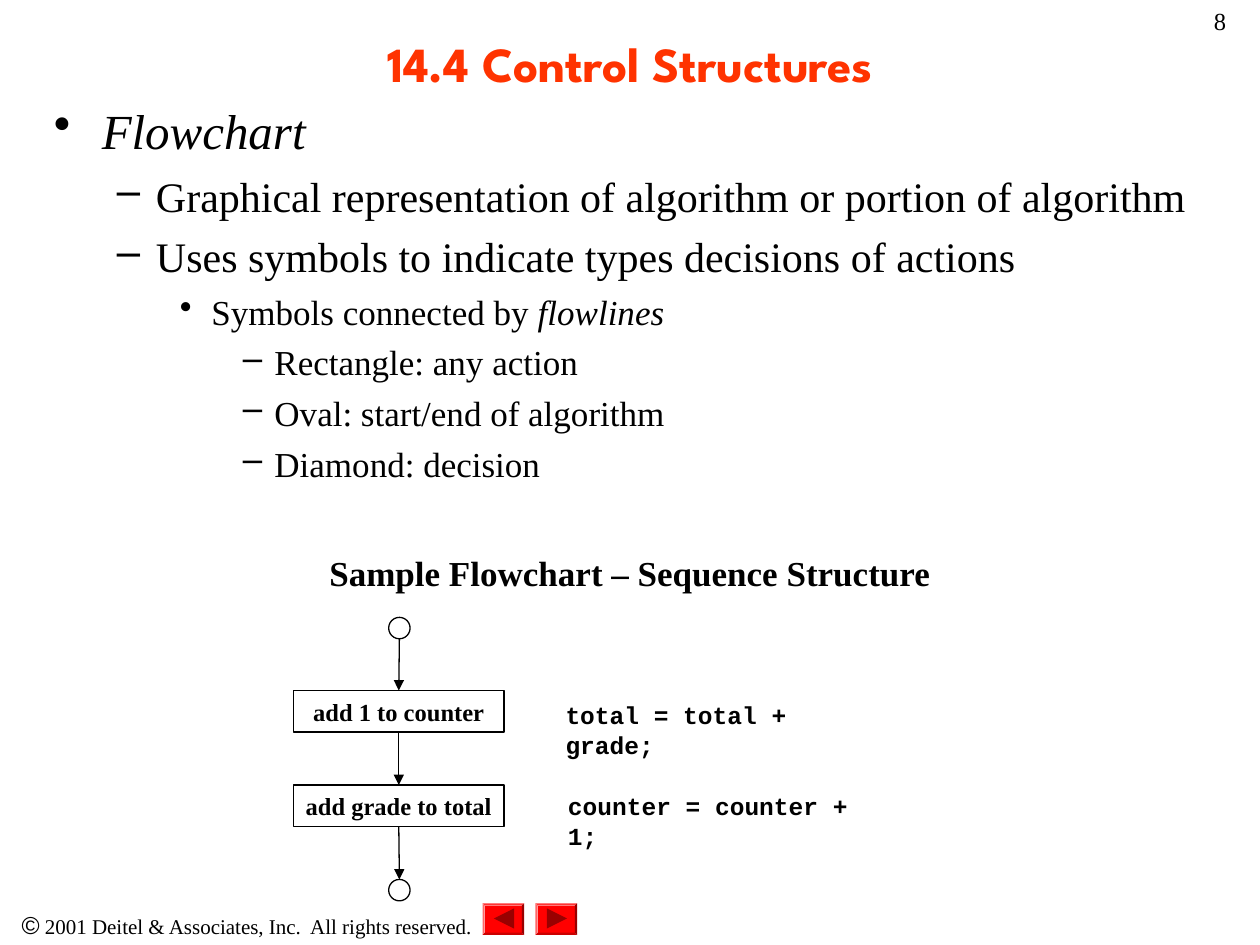
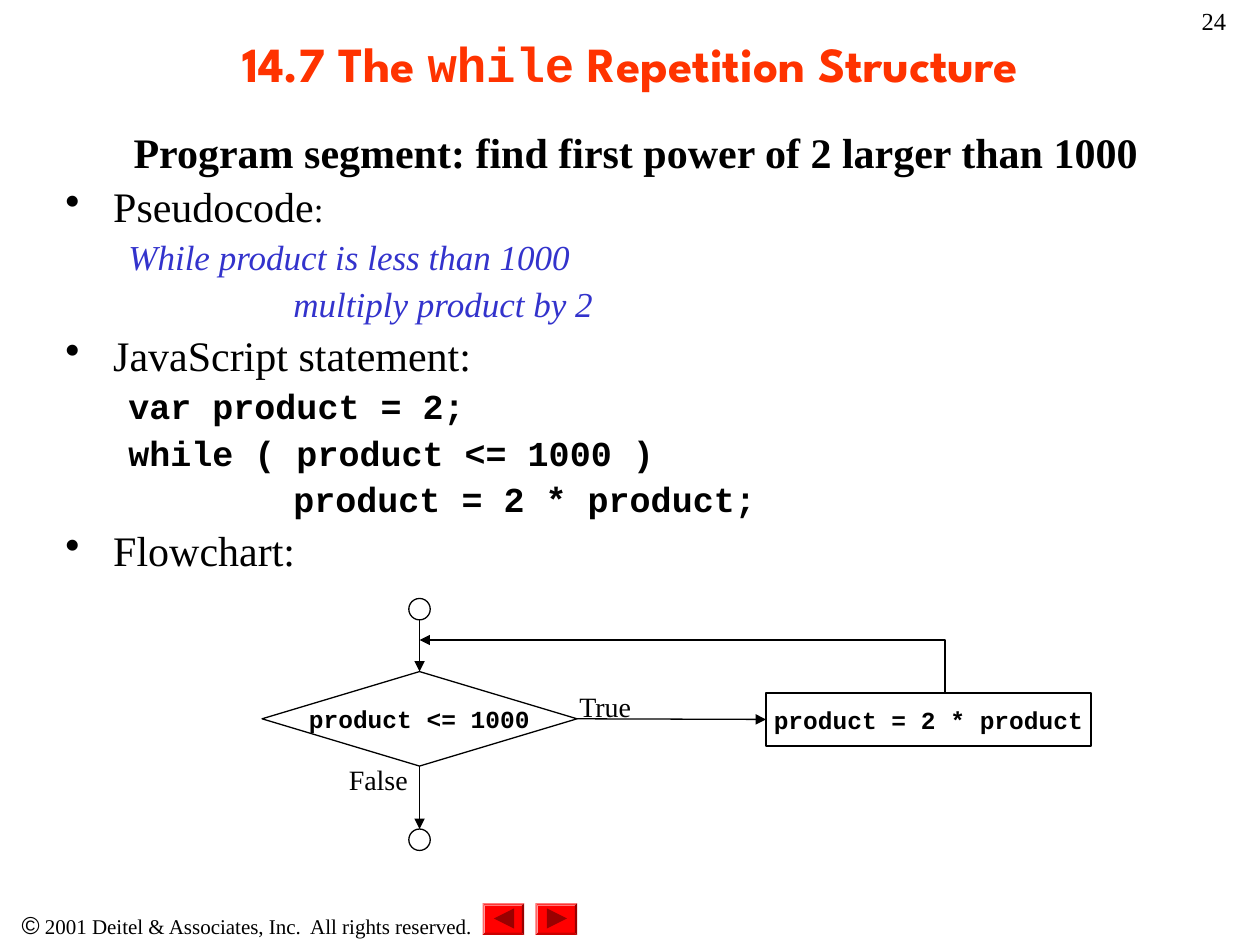
from lxml import etree
from pptx import Presentation
from pptx.dml.color import RGBColor
from pptx.enum.shapes import MSO_CONNECTOR, MSO_SHAPE
from pptx.enum.text import MSO_ANCHOR, PP_ALIGN
from pptx.oxml.ns import qn
from pptx.util import Inches, Pt

LEFT, CENTER, RIGHT = PP_ALIGN.LEFT, PP_ALIGN.CENTER, PP_ALIGN.RIGHT
TOP, MIDDLE = MSO_ANCHOR.TOP, MSO_ANCHOR.MIDDLE
OVAL, RECT, DIAMOND = MSO_SHAPE.OVAL, MSO_SHAPE.RECTANGLE, MSO_SHAPE.DIAMOND
BEVEL, TRIANGLE = MSO_SHAPE.BEVEL, MSO_SHAPE.ISOSCELES_TRIANGLE
STRAIGHT, ELBOW = MSO_CONNECTOR.STRAIGHT, MSO_CONNECTOR.ELBOW

BLACK = RGBColor(0x00, 0x00, 0x00)
TITLE_RED = RGBColor(0xFF, 0x33, 0x00)
BUTTON_RED = RGBColor(0xFF, 0x00, 0x00)
ARROW_RED = RGBColor(0x99, 0x00, 0x00)
PSEUDO_BLUE = RGBColor(0x33, 0x33, 0xCC)

SERIF, MONO, SANS, DISPLAY = "Times New Roman", "Courier New", "Arial", "League Spartan"
SITE_TOP, SITE_LEFT, SITE_BOTTOM, SITE_RIGHT = range(4)
CIRCLE = 0.17
BOX_H = 0.33

OUTLINE_LEVELS = [(0.38, -0.38, "•"), (0.81, -0.31, "–"), (1.25, -0.25, "•"), (1.75, -0.25, "–")]


def run(text, size, name=SERIF, bold=False, italic=False, color=BLACK):
    """Describe a piece of text and its look."""
    return text, size, name, bold, italic, color


def write(p, runs, align=LEFT):
    """Fill a paragraph with formatted runs."""
    p.alignment = align
    for text, size, name, bold, italic, color in runs:
        r = p.add_run()
        r.text = text
        r.font.size, r.font.name = Pt(size), name
        r.font.bold, r.font.italic = bold, italic
        r.font.color.rgb = color


def add_text(s, x, y, w, h, runs, align=LEFT, anchor=TOP, wrap=True):
    """Add a text box with one paragraph."""
    tf = s.shapes.add_textbox(Inches(x), Inches(y), Inches(w), Inches(h)).text_frame
    tf.word_wrap = wrap
    tf.vertical_anchor = anchor
    write(tf.paragraphs[0], runs, align)


def set_indent(p, margin, hanging, bullet=None):
    """Set the indents and the bullet of a paragraph."""
    pPr = p._p.get_or_add_pPr()
    pPr.set("marL", str(Inches(margin)))
    pPr.set("indent", str(Inches(hanging)))
    if bullet:
        etree.SubElement(pPr, qn("a:buChar")).set("char", bullet)
    else:
        etree.SubElement(pPr, qn("a:buNone"))


def add_body(s, x, y, w, h, items, line_spacing=1.0):
    """Add body text from (runs, indent, space before, alignment) items."""
    tf = s.shapes.add_textbox(Inches(x), Inches(y), Inches(w), Inches(h)).text_frame
    tf.word_wrap = True
    for i, (runs, indent, space, align) in enumerate(items):
        p = tf.add_paragraph() if i else tf.paragraphs[0]
        set_indent(p, *indent)
        p.line_spacing = line_spacing
        p.space_before = Pt(space if i else 0)
        write(p, runs, align)


def add_shape(s, kind, x, y, w, h, fill=None, line=BLACK):
    """Add a preset shape with a plain fill and a thin outline."""
    sp = s.shapes.add_shape(kind, Inches(x), Inches(y), Inches(w), Inches(h))
    sp.shadow.inherit = False
    if fill is None:
        sp.fill.background()
    else:
        sp.fill.solid()
        sp.fill.fore_color.rgb = fill
    if line is None:
        sp.line.fill.background()
    else:
        sp.line.color.rgb = line
        sp.line.width = Pt(0.75)
    return sp


def add_node(s, kind, x, y, w, h, text, font=SERIF):
    """Add a labelled flowchart symbol."""
    sp = add_shape(s, kind, x, y, w, h)
    tf = sp.text_frame
    tf.word_wrap = False
    tf.vertical_anchor = MIDDLE
    write(tf.paragraphs[0], [run(text, 14, font, bold=True)], CENTER)
    return sp


def add_terminal(s, center_x, y):
    """Add the small circle that starts or ends a flowchart."""
    add_shape(s, OVAL, center_x - CIRCLE / 2, y, CIRCLE, CIRCLE)


def add_flowline(s, x1, y1, x2, y2, start=None, end=None, kind=STRAIGHT):
    """Add an arrow, joined to (shape, site) pairs where given."""
    cxn = s.shapes.add_connector(kind, Inches(x1), Inches(y1), Inches(x2), Inches(y2))
    if start:
        cxn.begin_connect(*start)
    if end:
        cxn.end_connect(*end)
    cxn.line.color.rgb = BLACK
    cxn.line.width = Pt(0.75)
    spPr = cxn._element.spPr
    etree.SubElement(spPr.find(qn("a:ln")), qn("a:tailEnd")).set("type", "triangle")
    etree.SubElement(spPr, qn("a:effectLst"))
    return cxn


def add_loop_back(s, x1, y1, x2, y2):
    """Add a one-bend arrow that rises from its start and then runs left."""
    cx, cy = (x1 + x2) / 2, (y1 + y2) / 2
    rise, reach = (y1 - y2) / 2, (x1 - x2) / 2
    cxn = add_flowline(s, cx - rise, cy + reach, cx + rise, cy - reach, kind=ELBOW)
    spPr = cxn._element.spPr
    spPr.find(qn("a:xfrm")).set("rot", "16200000")
    spPr.find(qn("a:prstGeom")).set("prst", "bentConnector2")


def add_button(s, x, rotation):
    """Add a bevelled navigation button with a turned triangle."""
    button = add_shape(s, BEVEL, x, 7.17, 0.33, 0.25, BUTTON_RED, None)
    button.adjustments[0] = 0.07
    icon = add_shape(s, TRIANGLE, x + 0.09, 7.21, 0.16, 0.16, ARROW_RED, None)
    icon.rotation = rotation


def add_slide(prs, number, title_runs):
    """Add a slide with the shared footer, buttons, title and number."""
    s = prs.slides.add_slide(prs.slide_layouts[6])
    add_text(s, 0, 7.17, 3.92, 0.34, [
        run("©", 14, SANS),
        run(" 2001 Deitel & Associates, Inc.  All rights reserved.", 12)], CENTER)
    add_button(s, 3.83, 270)
    add_button(s, 4.25, 90)
    add_text(s, 0, 0, 10, 1, title_runs, CENTER, MIDDLE)
    add_text(s, 7.75, 0, 2.08, 0.5, [run(str(number), 14)], RIGHT)
    return s


def title_run(text, name=DISPLAY):
    """Describe a piece of a slide title."""
    return run(text, 28, name, bold=True, color=TITLE_RED)


def control_structures(prs):
    """Build the slide on flowcharts and the sequence structure."""
    s = add_slide(prs, 8, [title_run("14.4 Control Structures")])
    outline = [
        (0, 7, [run("Flowchart", 28, italic=True)]),
        (1, 6, [run("Graphical representation of algorithm or portion of algorithm", 24)]),
        (1, 6, [run("Uses symbols to indicate types decisions of actions", 24)]),
        (2, 5, [run("Symbols connected by ", 20), run("flowlines", 20, italic=True)]),
        (3, 5, [run("Rectangle: any action", 20)]),
        (3, 5, [run("Oval: start/end of algorithm", 20)]),
        (3, 5, [run("Diamond: decision", 20)]),
    ]
    add_body(s, 0.33, 0.75, 9.33, 3.67,
             [(runs, OUTLINE_LEVELS[level], space, LEFT) for level, space, runs in outline])
    add_text(s, 0, 4.33, 10, 0.44,
             [run("Sample Flowchart – Sequence Structure", 20, bold=True)], CENTER)

    x = 3.17
    add_terminal(s, x, 4.9)
    add_terminal(s, x, 6.98)
    count, total = [add_node(s, RECT, 2.33, y, 1.67, BOX_H, text)
                    for y, text in ((5.48, "add 1 to counter"), (6.23, "add grade to total"))]
    add_flowline(s, x, 5.07, x, 5.48, end=(count, SITE_TOP))
    add_flowline(s, x, 5.81, x, 6.23, (count, SITE_BOTTOM), (total, SITE_TOP))
    add_flowline(s, x, 6.56, x, 6.98, start=(total, SITE_BOTTOM))
    for left, y, code in ((4.39, 5.51, "total = total + grade;"),
                          (4.41, 6.23, "counter = counter + 1;")):
        add_text(s, left, y, 2.77, 0.34, [run(code, 14, MONO, bold=True)], wrap=False)


def while_structure(prs):
    """Build the slide on the while repetition structure."""
    s = add_slide(prs, 24, [title_run("14.7 The "), title_run("while", MONO),
                            title_run(" Repetition Structure")])
    bullet, plain = OUTLINE_LEVELS[0], (0.5, 0)
    nested = (1.81, 0)

    def pseudo(text):
        return [run(text, 20, italic=True, color=PSEUDO_BLUE)]

    def code(text):
        return [run(text, 20, MONO, bold=True)]

    heading = [run("Program segment: find first power of 2 larger than 1000", 24, bold=True)]
    add_body(s, 0.42, 1, 9.25, 3.71, [
        (heading, (0, 0), 0, CENTER),
        ([run("Pseudocode", 24), run(":", 20)], bullet, 5, LEFT),
        (pseudo("While product is less than 1000"), plain, 5, LEFT),
        (pseudo("multiply product by 2"), nested, 5, LEFT),
        ([run("JavaScript statement:", 24)], bullet, 6, LEFT),
        (code("var product = 2;"), plain, 5, LEFT),
        (code("while ( product <= 1000 )"), plain, 5, LEFT),
        (code("product = 2 * product;"), nested, 5, LEFT),
        ([run("Flowchart:", 24)], bullet, 6, LEFT),
    ], 0.9)

    x = 3.33
    add_terminal(s, x, 4.75)
    add_terminal(s, x, 6.58)
    test = add_node(s, DIAMOND, 2.08, 5.33, 2.5, 0.75, "product <= 1000", MONO)
    step = add_node(s, RECT, 6.08, 5.5, 2.58, 0.42, "product = 2 * product", MONO)
    add_flowline(s, x, 4.92, x, 5.33, end=(test, SITE_TOP))
    add_flowline(s, 4.58, 5.71, 6.08, 5.71, (test, SITE_RIGHT), (step, SITE_LEFT))
    add_flowline(s, x, 6.08, x, 6.58, start=(test, SITE_BOTTOM))
    add_loop_back(s, 7.5, 5.5, x, 5.08)
    add_text(s, 2.67, 6, 0.67, 0.37, [run("False", 16)], wrap=False)
    add_text(s, 4.5, 5.42, 0.62, 0.37, [run("True", 16)], wrap=False)


def main():
    """Build and save the presentation."""
    prs = Presentation()
    prs.slide_width, prs.slide_height = Inches(10), Inches(7.5)
    control_structures(prs)
    while_structure(prs)
    prs.save("out.pptx")


if __name__ == "__main__":
    main()
